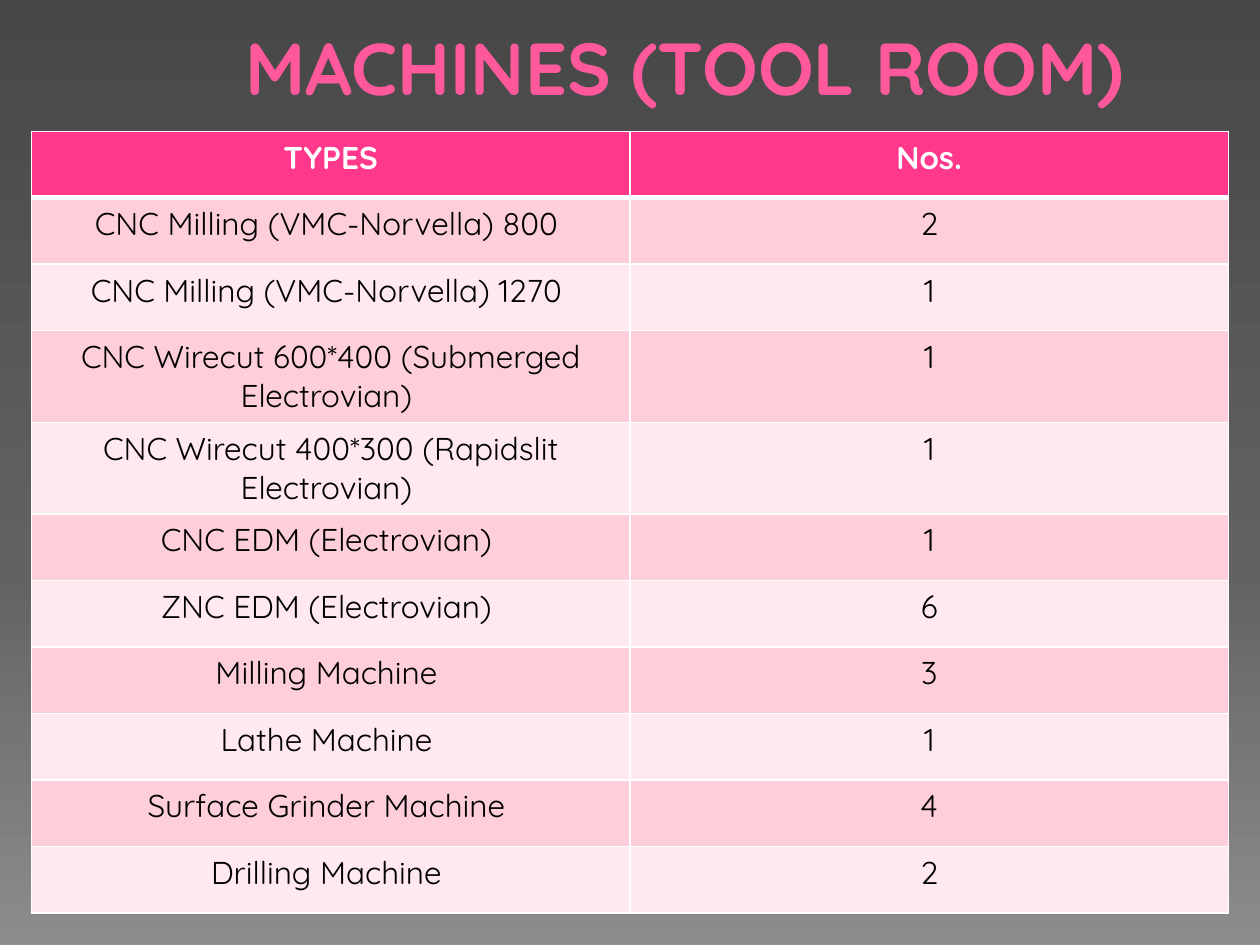
from copy import deepcopy

from pptx import Presentation
from pptx.dml.color import RGBColor
from pptx.enum.text import MSO_ANCHOR as Anchor, PP_ALIGN as Align
from pptx.oxml.ns import qn
from pptx.oxml.xmlchemy import OxmlElement as Element
from pptx.util import Pt

WHITE = RGBColor(0xFF, 0xFF, 0xFF)
BLACK = RGBColor(0x00, 0x00, 0x00)
TITLE_PINK = RGBColor(0xFF, 0x59, 0x9C)
HEADER_PINK = RGBColor(0xFF, 0x38, 0x8C)
DARK_BAND = RGBColor(0xFF, 0xCE, 0xDB)
LIGHT_BAND = RGBColor(0xFF, 0xE8, 0xEE)
BACKGROUND_STOPS = [
    (0, RGBColor(0x47, 0x47, 0x47)),
    (0.6, RGBColor(0x62, 0x62, 0x62)),
    (1, RGBColor(0x8C, 0x8C, 0x8C)),
]

HEADINGS = ("TYPES", "Nos.")
MACHINES = [
    ("CNC Milling (VMC-Norvella) 800 ", "2"),
    ("CNC Milling (VMC-Norvella) 1270 ", "1"),
    ("CNC Wirecut 600*400 (Submerged Electrovian) ", "1"),
    ("CNC Wirecut 400*300 (Rapidslit Electrovian) ", "1"),
    ("CNC EDM (Electrovian) ", "1"),
    ("ZNC EDM (Electrovian) ", "6"),
    ("Milling Machine ", "3"),
    ("Lathe Machine ", "1"),
    ("Surface Grinder Machine ", "4"),
    ("Drilling Machine ", "2"),
]


class SlideBuilder:
    """Holds the text style and the slide being filled."""

    font_name = "Quicksand"
    title_size = 42
    table_size = 18
    row_height = 38
    tall_row_height = 50.5
    thin_border = 1
    thick_border = 3

    def __init__(self, presentation):
        self.slide = presentation.slides.add_slide(presentation.slide_layouts[5])

    def background(self, stops):
        fill = self.slide.background.fill
        fill.gradient()
        fill.gradient_angle = 270
        stop_list = self.slide.element.find(".//" + qn("a:gsLst"))
        stop_list.append(deepcopy(stop_list[-1]))
        for gradient_stop, (position, color) in zip(fill.gradient_stops, stops):
            gradient_stop.position = position
            gradient_stop.color.rgb = color

    def add_text(self, paragraph, text, size, color, bold):
        paragraph.alignment = Align.CENTER
        run = paragraph.add_run()
        run.text = text
        run.font.name = self.font_name
        run.font.size = Pt(size)
        run.font.bold = bold
        run.font.color.rgb = color

    def title(self, text, left, top, width, height, margin):
        shape = self.slide.shapes.title
        shape.left, shape.top = Pt(left), Pt(top)
        shape.width, shape.height = Pt(width), Pt(height)
        shape.text_frame.vertical_anchor = Anchor.MIDDLE
        paragraph = shape.text_frame.paragraphs[0]
        self.add_text(paragraph, text, self.title_size, TITLE_PINK, True)
        properties = paragraph._p.get_or_add_pPr()
        properties.set("marL", str(Pt(margin)))
        properties.set("indent", "0")

    def border(self, cell, side, width):
        line = Element(f"a:ln{side}")
        line.set("w", str(Pt(width)))
        solid_fill = Element("a:solidFill")
        color = Element("a:srgbClr")
        color.set("val", str(WHITE))
        solid_fill.append(color)
        line.append(solid_fill)
        cell._tc.get_or_add_tcPr().append(line)

    def cell(self, cell, text, row):
        is_header = row == 0
        thick_side = {0: "B", 1: "T"}.get(row)
        # Borders come before the fill in the cell properties
        for side in "LRTB":
            width = self.thick_border if side == thick_side else self.thin_border
            self.border(cell, side, width)
        cell.fill.solid()
        band = DARK_BAND if row % 2 else LIGHT_BAND
        cell.fill.fore_color.rgb = HEADER_PINK if is_header else band
        text_color = WHITE if is_header else BLACK
        paragraph = cell.text_frame.paragraphs[0]
        self.add_text(paragraph, text, self.table_size, text_color, is_header)

    def table(self, rows, left, top, width):
        heights = [
            self.tall_row_height if "Wirecut" in name else self.row_height
            for name, _ in rows
        ]
        frame = self.slide.shapes.add_table(
            len(rows), len(rows[0]), Pt(left), Pt(top), Pt(width), Pt(sum(heights))
        )
        table = frame.table
        for row, (texts, height) in enumerate(zip(rows, heights)):
            table.rows[row].height = Pt(height)
            for column, text in enumerate(texts):
                self.cell(table.cell(row, column), text, row)


def main():
    presentation = Presentation()
    presentation.slide_width, presentation.slide_height = Pt(720), Pt(540)
    builder = SlideBuilder(presentation)

    # Grey gradient behind everything
    builder.background(BACKGROUND_STOPS)

    # Title
    builder.title("MACHINES (TOOL ROOM)", 48, 0, 648, 75, margin=38)

    # Machine list
    builder.table([HEADINGS] + MACHINES, 18, 75, 684)

    presentation.save("out.pptx")


if __name__ == "__main__":
    main()
